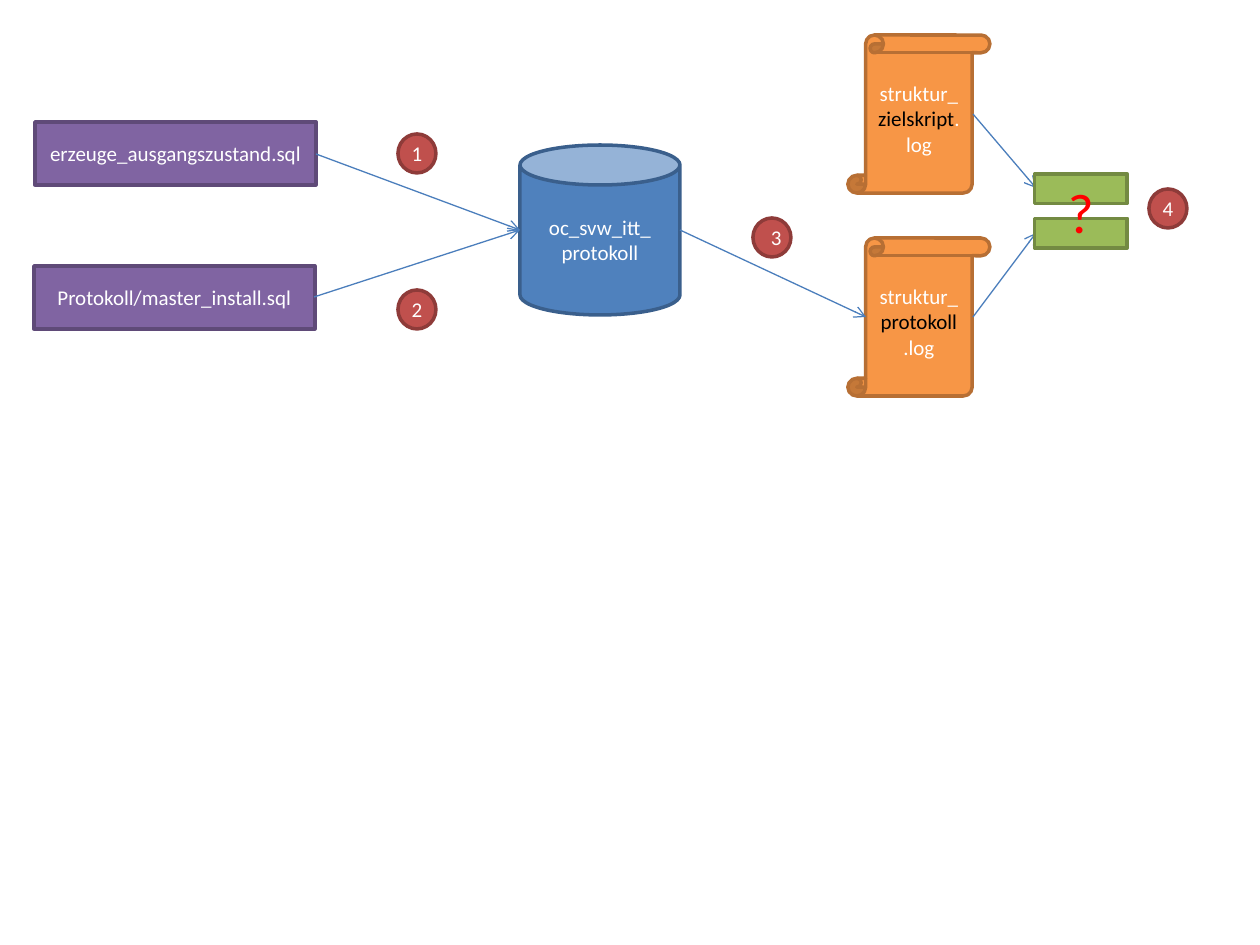
import pptx
import pptx.util
import pptx.dml.color
import pptx.enum.shapes
import pptx.enum.text
import pptx.oxml
import pptx.oxml.ns

PIXEL = 914400 // 126
COLORS = {
    "white": "FFFFFF", "black": "000000", "red": "FF0000", "arrow": "4B7EBC",
    "purple": "8064A2", "purple_edge": "5F4A78",
    "blue": "4F81BD", "blue_edge": "3A5F8C",
    "orange": "F79646", "orange_edge": "B76F34",
    "badge": "C0504D", "badge_edge": "8E3B39",
    "green": "9BBB59", "green_edge": "738A42",
}
PRESET = pptx.enum.shapes.MSO_SHAPE
SCRIPT_SIZE = (281, 63)
LOG_SIZE = (142, 158)
BADGE_SIZE = (38, 39)

STATIONS = [
    (PRESET.RECTANGLE, (35, 122), SCRIPT_SIZE, "purple",
     [[("erzeuge_ausgangszustand.sql", "white")]]),
    (PRESET.RECTANGLE, (34, 266), SCRIPT_SIZE, "purple",
     [[("Protokoll/master_install.sql", "white")]]),
    (PRESET.CAN, (520, 145), (160, 170), "blue",
     [[("oc_svw_itt_", "white")], [("protokoll", "white")]]),
    (PRESET.VERTICAL_SCROLL, (848, 35), LOG_SIZE, "orange",
     [[("struktur_", "white"), ("zielskript", "black"), (".log", "white")]]),
    (PRESET.VERTICAL_SCROLL, (848, 238), LOG_SIZE, "orange",
     [[("struktur_ ", "white"), ("protokoll", "black"), (".log", "white")]]),
]
ARROWS = [
    ((316, 154), (520, 230)),
    ((314, 297), (520, 230)),
    ((680, 230), (866, 317)),
    ((973, 114), (1036, 188)),
    ((973, 317), (1036, 233)),
]
COMPARISON = (PRESET.MATH_EQUAL, (1018, 148), (126, 126), "green", [[("?", "red")]])
STEPS = [("1", (398, 134), False), ("2", (398, 290), False),
         ("3", (753, 218), True), ("4", (1149, 189), False)]

presentation = pptx.Presentation()
presentation.slide_width = pptx.util.Inches(10)
presentation.slide_height = pptx.util.Inches(7.5)
slide = presentation.slides.add_slide(presentation.slide_layouts[6])


def rgb(name):
    return pptx.dml.color.RGBColor.from_string(COLORS[name])


def add_station(preset, corner, size, color, paragraphs, points=12, wrap=True):
    station = slide.shapes.add_shape(preset, *(v * PIXEL for v in corner + size))
    station.shadow.inherit = False
    station.fill.solid()
    station.fill.fore_color.rgb = rgb(color)
    station.line.color.rgb = rgb(color + "_edge")
    station.line.width = pptx.util.Pt(2)
    frame = station.text_frame
    frame.word_wrap = wrap
    frame.vertical_anchor = pptx.enum.text.MSO_ANCHOR.MIDDLE
    for index, runs in enumerate(paragraphs):
        paragraph = frame.add_paragraph() if index else frame.paragraphs[0]
        paragraph.alignment = pptx.enum.text.PP_ALIGN.CENTER
        for text, text_color in runs:
            run = paragraph.add_run()
            run.text = text
            run.font.name = "Calibri"
            run.font.size = pptx.util.Pt(points)
            run.font.color.rgb = rgb(text_color)


def add_arrow(start, end):
    arrow = slide.shapes.add_connector(
        pptx.enum.shapes.MSO_CONNECTOR.STRAIGHT, *(v * PIXEL for v in start + end))
    arrow.line.color.rgb = rgb("arrow")
    arrow.line.width = pptx.util.Pt(0.75)
    head = pptx.oxml.parse_xml(
        "<a:tailEnd %s type='arrow'/>" % pptx.oxml.ns.nsdecls("a"))
    arrow.line._get_or_add_ln().append(head)
    arrow._element.spPr.append(pptx.oxml.parse_xml(
        "<a:effectLst %s/>" % pptx.oxml.ns.nsdecls("a")))


for station in STATIONS:
    add_station(*station)
for arrow in ARROWS:
    add_arrow(*arrow)
add_station(*COMPARISON, points=32)
for number, corner, wrap in STEPS:
    add_station(PRESET.OVAL, corner, BADGE_SIZE, "badge", [[(number, "white")]], wrap=wrap)

presentation.save("out.pptx")
